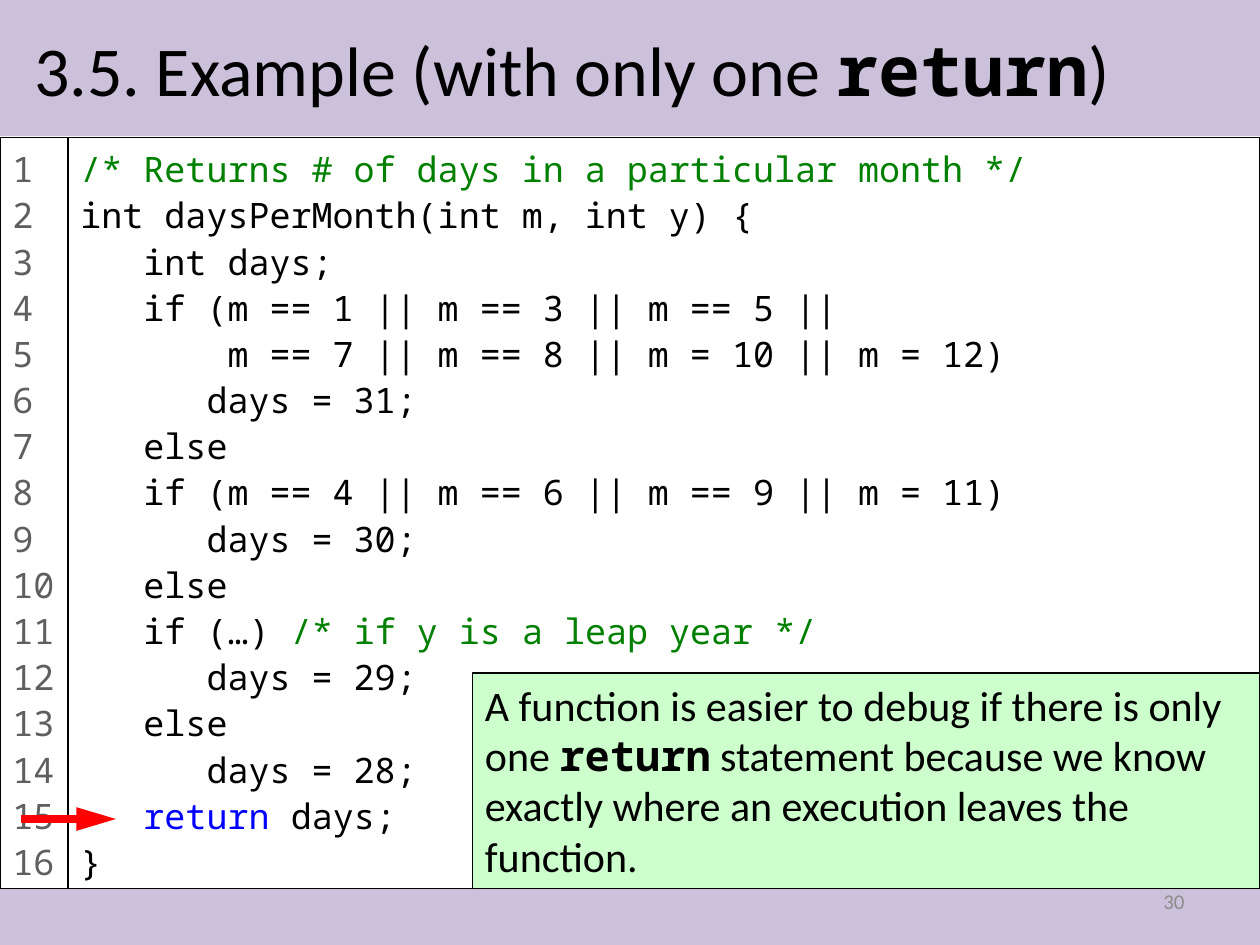
"""Build the slide on a month-length function with a single return."""
import pptx
import pptx.util
import pptx.dml.color
import pptx.enum.shapes
import pptx.enum.text
import pptx.oxml
import pptx.oxml.ns

Inches = pptx.util.Inches
Pt = pptx.util.Pt
ANCHOR = pptx.enum.text.MSO_ANCHOR
ALIGN = pptx.enum.text.PP_ALIGN
MONO = "Noto Sans Mono"
BLACK, GREEN, BLUE, GREY = "000000", "008000", "0000FF", "5F5F5F"


def color(code):
    """Turn a hex string into a colour."""
    return pptx.dml.color.RGBColor.from_string(code)


def write(frame, lines, size, name, space=1.0, align=ALIGN.LEFT):
    """Fill a frame with lines, each a list of (text, colour, extra format)."""
    for num, line in enumerate(lines):
        para = frame.add_paragraph() if num else frame.paragraphs[0]
        para.line_spacing = space
        para.alignment = align
        for text, code, extra in line:
            run = para.add_run()
            run.text = text
            run.font.color.rgb = color(code)
            style = {"size": Pt(size), "name": name, "bold": False} | extra
            for key, value in style.items():
                setattr(run.font, key, value)


deck = pptx.Presentation()
deck.slide_width = Inches(10)
deck.slide_height = Inches(7.5)
slide = deck.slides.add_slide(deck.slide_layouts[5])
shapes = slide.shapes

boxes = {}
for part, place, fill, line in [
    ("top", (0, 0, 10, 1.08), "CCC1DA", None),
    ("bottom", (0, 6.83, 10, 0.67), "CCC1DA", None),
    ("count", (0, 1.09, 0.54, 5.96), "FFFFFF", BLACK),
    ("code", (0.54, 1.09, 9.46, 5.96), "FFFFFF", BLACK),
    ("advice", (3.75, 5.34, 6.25, 1.71), "CCFFCC", BLACK),
]:
    box = shapes.add_shape(
        pptx.enum.shapes.MSO_SHAPE.RECTANGLE, *map(Inches, place))
    box.shadow.inherit = False
    box.fill.solid()
    box.fill.fore_color.rgb = color(fill)
    if line:
        box.line.color.rgb = color(line)
        box.line.width = Pt(0.75)
    else:
        box.line.fill.background()
    box.text_frame.word_wrap = part != "count"
    box.text_frame.vertical_anchor = ANCHOR.TOP
    boxes[part] = box.text_frame

bold = {"name": MONO, "bold": True}
title = shapes.title
title.element.getparent().append(title.element)
place = {"left": 0.17, "top": 0.08, "width": 9.67, "height": 0.92}
for key, value in place.items():
    setattr(title, key, Inches(value))
title.text_frame.vertical_anchor = ANCHOR.MIDDLE
write(title.text_frame, [[
    ("3.5. Example (with only one ", BLACK, {}),
    ("return", BLACK, bold),
    (")", BLACK, {}),
]], 40, "Calibri")

code = [
    [("/* Returns # of days in a particular month */", GREEN)],
    [("int daysPerMonth(int m, int y) {", BLACK)],
    [("   int days;", BLACK)],
    [("   if (m == 1 || m == 3 || m == 5 ||", BLACK)],
    [("       m == 7 || m == 8 || m = 10 || m = 12)", BLACK)],
    [("      days = 31;", BLACK)],
    [("   else", BLACK)],
    [("   if (m == 4 || m == 6 || m == 9 || m = 11)", BLACK)],
    [("      days = 30;", BLACK)],
    [("   else", BLACK)],
    [("   if (…) ", BLACK), ("/* if y is a leap year */", GREEN)],
    [("      days = 29;", BLACK)],
    [("   else", BLACK)],
    [("      days = 28;", BLACK)],
    [("   return", BLUE), (" days;", BLACK)],
    [("}", BLACK)],
]
rows = [[(text, tint, {}) for text, tint in line] for line in code]
write(boxes["code"], rows, 20, MONO, 1.1)
count = [[(str(num), GREY, {})] for num in range(1, len(code) + 1)]
write(boxes["count"], count, 20, MONO, 1.1)

write(boxes["advice"], [[
    ("A function is easier to debug if there is only one ", BLACK, {}),
    ("return", BLACK, bold),
    (" statement because we know exactly where an execution leaves "
     "the function.", BLACK, {}),
]], 24, "Calibri")

page = shapes.add_textbox(*map(Inches, (7.17, 6.95, 2.33, 0.4))).text_frame
page.word_wrap = True
page.vertical_anchor = ANCHOR.MIDDLE
write(page, [[("30", "8C8C8C", {})]], 12, "Calibri", align=ALIGN.RIGHT)

arrow = shapes.add_connector(
    pptx.enum.shapes.MSO_CONNECTOR.STRAIGHT,
    *map(Inches, (0.17, 6.5, 0.92, 6.5)))
arrow.line.color.rgb = color("FF0000")
arrow.line.width = Pt(4.5)
props = arrow.element.spPr
space = pptx.oxml.ns.nsdecls("a")
props.find(pptx.oxml.ns.qn("a:ln")).append(pptx.oxml.parse_xml(
    f'<a:tailEnd {space} type="triangle" w="med" len="lg"/>'))
props.append(pptx.oxml.parse_xml(f"<a:effectLst {space}/>"))

deck.save("out.pptx")
